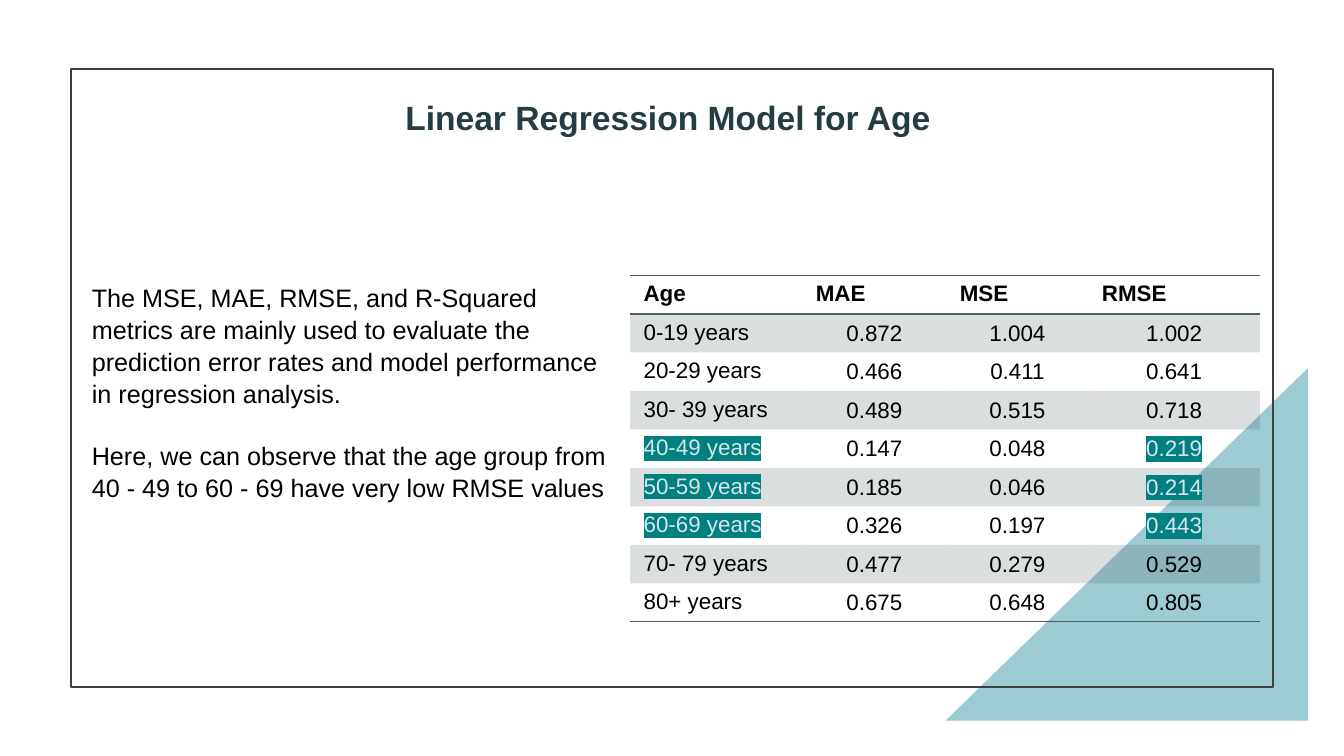
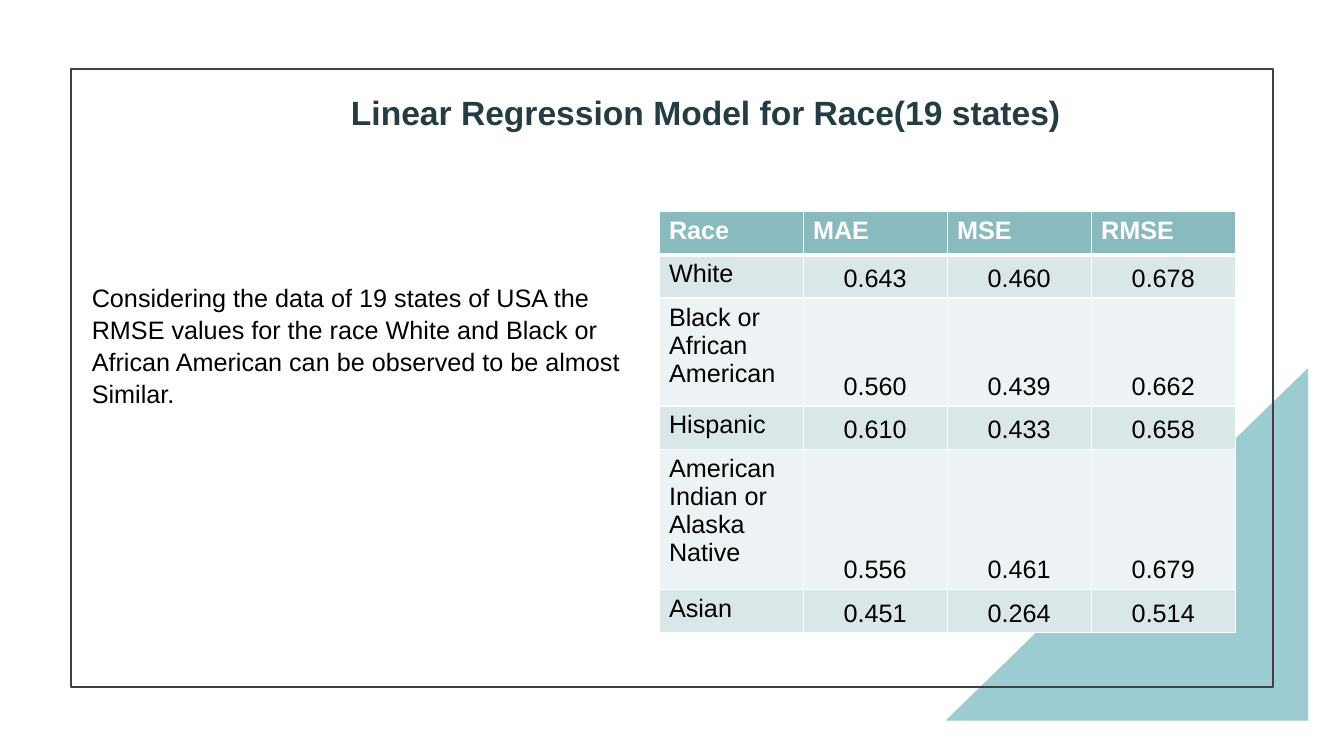
import pptx
import pptx.util
import pptx.dml.color
import pptx.enum.shapes
import pptx.enum.text
import pptx.oxml
import pptx.oxml.ns

Cm = pptx.util.Cm
Pt = pptx.util.Pt
ANCHOR = pptx.enum.text.MSO_ANCHOR
ALIGN = pptx.enum.text.PP_ALIGN
SHAPE = pptx.enum.shapes.MSO_SHAPE

FONT = "Arial"
COLORS = {
    "triangle": "9CCCD2",
    "frame": "404040",
    "title": "253C43",
    "text": "000000",
    "slate": "4A5D62",
    "marked": "D8E5EA",
    "highlight": "008080",
    "white": "FFFFFF",
    "header": "88BABE",
    "odd_row": "DAE7E8",
    "even_row": "EDF3F4",
}
PLAIN_STYLE = "{2D5ABB26-0587-4C30-8999-92F81FD0307C}"

AGE_ROWS = [
    ["Age", "MAE", "MSE", "RMSE"],
    ["0-19 years", "0.872", "1.004", "1.002"],
    ["20-29 years", "0.466", "0.411", "0.641"],
    ["30- 39 years", "0.489", "0.515", "0.718"],
    ["40-49 years", "0.147", "0.048", "0.219"],
    ["50-59 years", "0.185", "0.046", "0.214"],
    ["60-69 years", "0.326", "0.197", "0.443"],
    ["70- 79 years", "0.477", "0.279", "0.529"],
    ["80+ years", "0.675", "0.648", "0.805"],
]
RACE_ROWS = [
    ["Race", "MAE", "MSE", "RMSE"],
    ["White", "0.643", "0.460", "0.678"],
    ["Black or African American", "0.560", "0.439", "0.662"],
    ["Hispanic", "0.610", "0.433", "0.658"],
    ["American Indian or Alaska Native", "0.556", "0.461", "0.679"],
    ["Asian", "0.451", "0.264", "0.514"],
]


def rgb(name):
    return pptx.dml.color.RGBColor.from_string(COLORS[name])


def make_element(tag, **attributes):
    element = pptx.oxml.parse_xml(f"<{tag} {pptx.oxml.ns.nsdecls('a')}/>")
    for key, value in attributes.items():
        element.set(key, str(value))
    return element


def make_color(name):
    return make_element("a:srgbClr", val=COLORS[name])


def style_para(para, size, color, bold=False):
    para.font.name = FONT
    para.font.size = Pt(size)
    para.font.bold = bold
    para.font.color.rgb = rgb(color)


def place(shape, left, top, width, height):
    shape.left, shape.top = Cm(left), Cm(top)
    shape.width, shape.height = Cm(width), Cm(height)


def add_decor(page):
    triangle = page.shapes.add_shape(
        SHAPE.RIGHT_TRIANGLE, Cm(23.83), Cm(9.27), Cm(9.14), Cm(8.89))
    triangle.shadow.inherit = False
    triangle.fill.solid()
    triangle.fill.fore_color.rgb = rgb("triangle")
    triangle.line.fill.background()
    triangle._element.spPr.xfrm.set("flipH", "1")

    frame = page.shapes.add_shape(
        SHAPE.RECTANGLE, Cm(1.78), Cm(1.74), Cm(30.3), Cm(15.57))
    frame.shadow.inherit = False
    frame.fill.background()
    frame.line.color.rgb = rgb("frame")
    frame.line.width = Pt(1.5)


def set_title(page, text, left, top, width):
    title = page.shapes.title
    place(title, left, top, width, 1.27)
    frame = title.text_frame
    frame.text = text
    frame.word_wrap = False
    frame.auto_size = pptx.enum.text.MSO_AUTO_SIZE.NONE
    frame.vertical_anchor = ANCHOR.MIDDLE
    para = frame.paragraphs[0]
    para.alignment = ALIGN.LEFT
    style_para(para, 24, "title", bold=True)


def set_body(page, texts, width, height):
    body = page.placeholders[1]
    place(body, 2.06, 6.96, width, height)
    frame = body.text_frame
    frame.text = "\n".join(texts)
    frame.word_wrap = True
    frame.auto_size = pptx.enum.text.MSO_AUTO_SIZE.NONE
    frame.vertical_anchor = ANCHOR.TOP
    for index, para in enumerate(frame.paragraphs):
        properties = para._p.get_or_add_pPr()
        properties.set("marL", "0")
        properties.set("indent", "0")
        properties.append(make_element("a:buNone"))
        para.line_spacing = 1.05
        para.space_before = Pt(21.7 if index else 0)
        style_para(para, 18, "text")


def add_page(deck, title, title_box, texts, body_size):
    page = deck.slides.add_slide(deck.slide_layouts[1])
    set_title(page, title, *title_box)
    set_body(page, texts, *body_size)
    add_decor(page)
    return page


def add_grid(page, rows, left, top, widths, heights):
    holder = page.shapes.add_table(
        len(rows), len(widths), Cm(left), Cm(top),
        Cm(sum(widths)), Cm(sum(heights)))
    table = holder.table
    table.horz_banding = False
    table._tbl.tblPr.find(pptx.oxml.ns.qn("a:tableStyleId")).text = PLAIN_STYLE
    for column, width in zip(table.columns, widths):
        column.width = Cm(width)
    for row, height in zip(table.rows, heights):
        row.height = Cm(height)
    return table


def fill_cell(cell, text, size, color, side, edge, header=False, number=False):
    cell.text = text
    cell.margin_left = cell.margin_right = Cm(side)
    cell.margin_top = cell.margin_bottom = Cm(edge)
    cell.vertical_anchor = ANCHOR.BOTTOM if number else ANCHOR.TOP
    para = cell.text_frame.paragraphs[0]
    para.alignment = ALIGN.CENTER if number else ALIGN.LEFT
    style_para(para, size, color, bold=header)


def paint_cell(cell, color, alpha=None):
    if color is None:
        cell.fill.background()
        return
    cell.fill.solid()
    cell.fill.fore_color.rgb = rgb(color)
    if alpha:
        swatch = cell._tc.tcPr.find(".//" + pptx.oxml.ns.qn("a:srgbClr"))
        swatch.append(make_element("a:alpha", val=alpha * 1000))


def set_borders(cell, color, widths):
    properties = cell._tc.get_or_add_tcPr()
    sides = [side for side in "LRTB" if side in widths]
    for index, side in enumerate(sides):
        line = make_element(f"a:ln{side}", w=Pt(widths[side]))
        fill = make_element("a:solidFill")
        fill.append(make_color(color))
        line.append(fill)
        properties.insert(index, line)


def highlight_cell(cell):
    span = cell.text_frame.paragraphs[0].runs[0]
    span.font.color.rgb = rgb("marked")
    highlight = make_element("a:highlight")
    highlight.append(make_color("highlight"))
    span._r.get_or_add_rPr().append(highlight)


def add_age_table(page):
    table = add_grid(page, AGE_ROWS, 15.88, 6.94,
                     [4.34, 3.63, 3.58, 4.32], [0.97] * len(AGE_ROWS))
    last = len(AGE_ROWS) - 1
    borders = {0: {"T": 1, "B": 1}, last: {"B": 1}}
    for r, row in enumerate(AGE_ROWS):
        for c, text in enumerate(row):
            cell = table.cell(r, c)
            number = r > 0 and c > 0
            fill_cell(cell, text, 16, "text", 0.1 if number else 0.34, 0.16,
                      header=r == 0, number=number)
            paint_cell(cell, "slate" if r % 2 else None, alpha=20)
            set_borders(cell, "slate", borders.get(r, {}))
            if r in (4, 5, 6) and c in (0, 3):
                highlight_cell(cell)


def add_race_table(page):
    table = add_grid(page, RACE_ROWS, 16.61, 5.33, [3.63] * 4,
                     [1.09, 1.09, 2.72, 1.09, 3.53, 1.09])
    for r, row in enumerate(RACE_ROWS):
        for c, text in enumerate(row):
            cell = table.cell(r, c)
            header = r == 0
            number = not header and c > 0
            fill_cell(cell, text, 18, "white" if header else "text",
                      0.08 if number else 0.25, 0.13, header, number)
            band = "odd_row" if r % 2 else "even_row"
            paint_cell(cell, "header" if header else band)
            widths = {"L": 1, "R": 1, "T": 3 if r == 1 else 1,
                      "B": 3 if header else 1}
            set_borders(cell, "white", widths)


def main():
    deck = pptx.Presentation()
    deck.slide_width, deck.slide_height = Cm(33.87), Cm(19.05)

    age_page = add_page(
        deck, "Linear Regression Model for Age", (9.96, 2.31, 13.87),
        ["The MSE, MAE, RMSE, and R-Squared metrics are mainly used to "
         "evaluate the prediction error rates and model performance in "
         "regression analysis.",
         "Here, we can observe that the age group from 40 - 49 to 60 - 69 "
         "have very low RMSE values"],
        (13.6, 5.64))
    add_age_table(age_page)

    race_page = add_page(
        deck, "Linear Regression Model for Race(19 states)",
        (8.59, 2.18, 18.57),
        ["Considering the data of 19 states of USA the RMSE values for the "
         "race White and Black or African American can be observed to be "
         "almost Similar."],
        (13.95, 3.33))
    add_race_table(race_page)

    deck.save("out.pptx")


if __name__ == "__main__":
    main()
